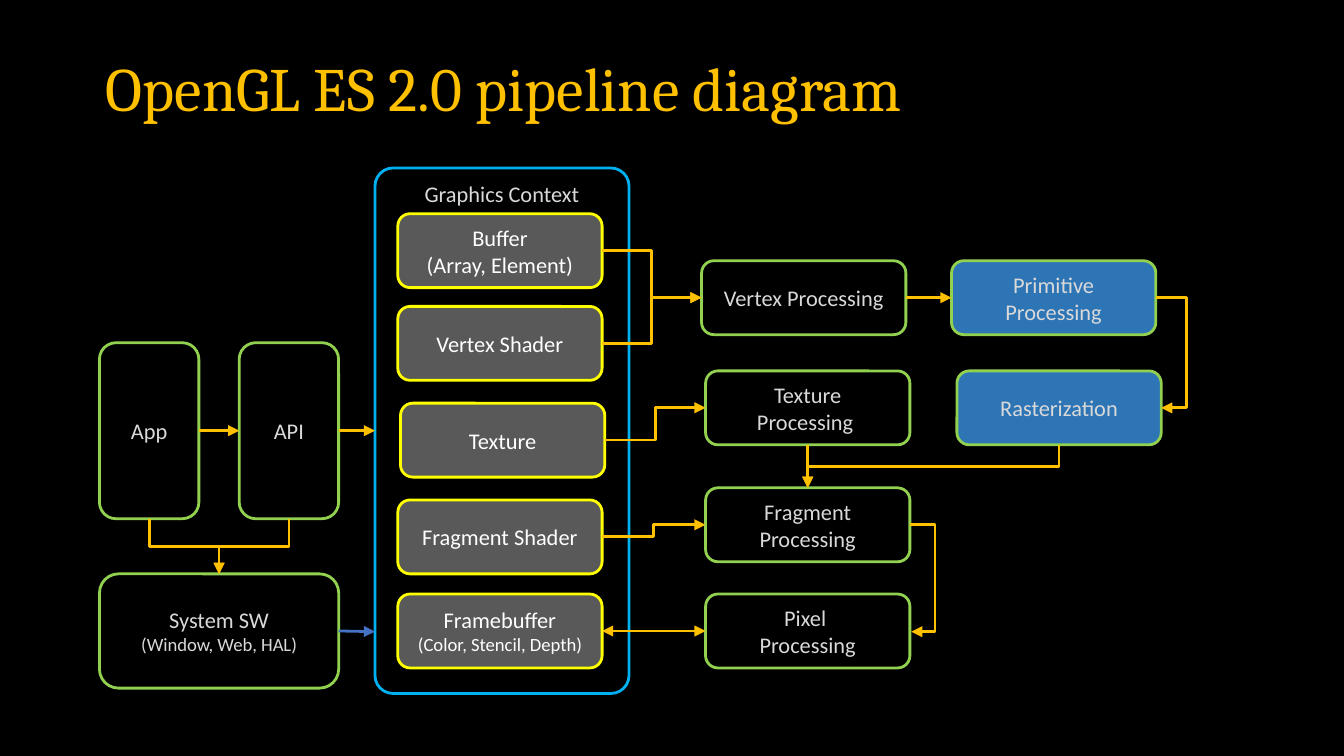
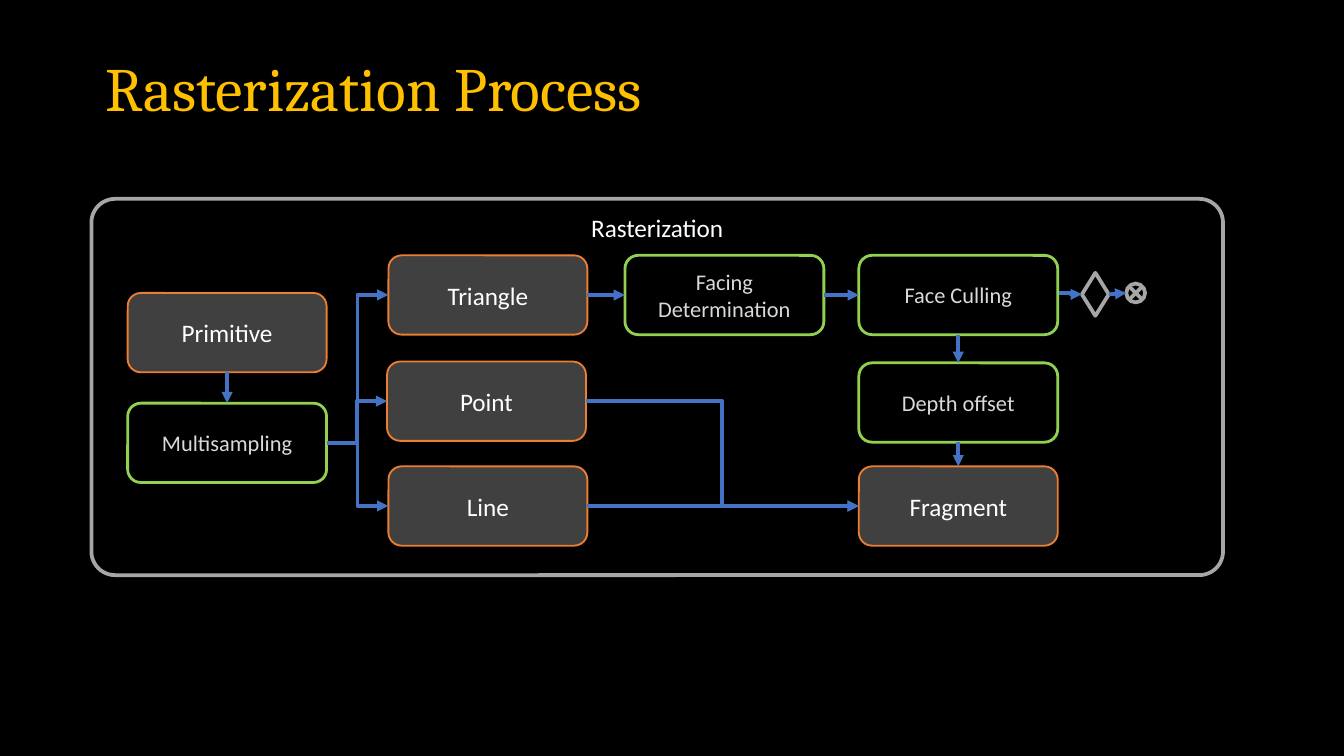
from pptx import Presentation
from pptx.dml.color import RGBColor
from pptx.enum import shapes, text
from pptx.oxml import ns, xmlchemy
from pptx.util import Inches, Pt

COLOURS = {
    "black": "000000", "gold": "FFC000", "green": "92D050", "pale": "D9D9D9",
    "white": "FFFFFF", "sky": "00B0F0", "yellow": "FFFF00", "slate": "595959",
    "charcoal": "404040", "orange": "ED7D31", "steel": "2E75B6",
    "blue": "4472C4", "silver": "A6A6A6",
}
RGB = {name: RGBColor.from_string(code) for name, code in COLOURS.items()}
SHAPE = shapes.MSO_SHAPE
ROUNDED = SHAPE.ROUNDED_RECTANGLE
TOP, LEFT, BOTTOM, RIGHT = range(4)


def add_box(page, words, at, kind=ROUNDED, fill="black", line="green", width=1.5,
            size=12, small=10, font="Calibri", colour="pale", align="CENTER",
            anchor="MIDDLE", spacing=None, radius=None):
    """Add a text box (kind=None) or a shape; lines after the first use the small size."""
    place = [Inches(value) for value in at]
    if kind is None:
        box = page.shapes.add_textbox(*place)
    else:
        box = page.shapes.add_shape(kind, *place)
        box.shadow.inherit = False
        box.line.color.rgb = RGB[line]
        box.line.width = Pt(width)
        if fill:
            box.fill.solid()
            box.fill.fore_color.rgb = RGB[fill]
        else:
            box.fill.background()
    if radius:
        box.adjustments[0] = radius
    frame = box.text_frame
    frame.word_wrap = True
    frame.vertical_anchor = getattr(text.MSO_ANCHOR, anchor)
    frame.margin_left = frame.margin_right = Inches(0.1)
    frame.margin_top = frame.margin_bottom = Inches(0.05)
    for number, words_in_line in enumerate(words.split("\n")):
        para = frame.add_paragraph() if number else frame.paragraphs[0]
        para.text = words_in_line
        para.alignment = getattr(text.PP_ALIGN, align)
        para.line_spacing = spacing
        for span in para.runs:
            span.font.name = font
            span.font.size = Pt(small if number else size)
            span.font.color.rgb = RGB[colour]
    return box


def add_arrow(page, start, end, bent=False, colour="gold", width=1.5, both=False, bend=None):
    """Join two ends, each a (box, side) pair or an (x, y) point in inches."""
    kind = shapes.MSO_CONNECTOR.ELBOW if bent else shapes.MSO_CONNECTOR.STRAIGHT
    arrow = page.shapes.add_connector(kind, 0, 0, 0, 0)
    if hasattr(start[0], "shape_id"):
        arrow.begin_connect(*start)
    else:
        arrow.begin_x, arrow.begin_y = Inches(start[0]), Inches(start[1])
    if hasattr(end[0], "shape_id"):
        arrow.end_connect(*end)
    else:
        arrow.end_x, arrow.end_y = Inches(end[0]), Inches(end[1])
    properties = arrow._element.spPr

    # An elbow that leaves downwards is a quarter-turned one
    if bent and start[1] == BOTTOM:
        x1, y1, x2, y2 = arrow.begin_x, arrow.begin_y, arrow.end_x, arrow.end_y
        across, down = abs(x2 - x1), y2 - y1
        frame = properties.find(ns.qn("a:xfrm"))
        frame.attrib.clear()
        frame.set("rot", "5400000")
        if x2 > x1:
            frame.set("flipV", "1")
        arrow.left, arrow.top = (x1 + x2 - down) // 2, (y1 + y2 - across) // 2
        arrow.width, arrow.height = down, across

    if bend:
        guide = xmlchemy.OxmlElement("a:gd")
        guide.set("name", "adj1")
        guide.set("fmla", f"val {round(bend * 100000)}")
        properties.find(".//" + ns.qn("a:avLst")).append(guide)
    arrow.line.color.rgb = RGB[colour]
    arrow.line.width = Pt(width)
    for tag in ["a:headEnd", "a:tailEnd"] if both else ["a:tailEnd"]:
        tip = xmlchemy.OxmlElement(tag)
        tip.set("type", "triangle")
        properties.find(ns.qn("a:ln")).append(tip)
    properties.append(xmlchemy.OxmlElement("a:effectLst"))


# A 16:9 deck
deck = Presentation()
deck.slide_width = Inches(10)
deck.slide_height = deck.slide_width * 9 // 16

# Shared background and title
pages = []
for title in ["OpenGL ES 2.0 pipeline diagram", "Rasterization Process"]:
    page = deck.slides.add_slide(deck.slide_layouts[6])
    page.background.fill.solid()
    page.background.fill.fore_color.rgb = RGB["black"]
    add_box(page, title, (0.69, 0.3, 8.62, 0.76), kind=None, size=33, font="Cambria",
            colour="gold", align="LEFT", spacing=0.9)
    pages.append(page)
pipeline, raster = pages

# Pipeline: application side
app, api = [add_box(pipeline, words, (x, 2.55, 0.74, 1.31))
            for words, x in [("App", 0.74), ("API", 1.78)]]
system = add_box(pipeline, "System SW\n(Window, Web, HAL)", (0.74, 4.27, 1.78, 0.85))

# Pipeline: graphics context and its objects
context = add_box(pipeline, "Graphics Context", (2.79, 1.25, 1.89, 3.91), line="sky",
                  anchor="TOP", radius=0.071)
buffer, vertex_shader, texture, fragment_shader, framebuffer = [
    add_box(pipeline, words, (x, y, 1.52, 0.55), fill="slate", line="yellow", colour="white")
    for words, x, y in [
        ("Buffer\v(Array, Element)", 2.96, 1.59),
        ("Vertex Shader", 2.96, 2.28),
        ("Texture", 2.98, 3),
        ("Fragment Shader", 2.96, 3.72),
        ("Framebuffer\n(Color, Stencil, Depth)", 2.96, 4.42),
    ]
]

# Pipeline: processing stages
vertex, primitive, texturing, rasterization, fragment, pixel = [
    add_box(pipeline, words, (x, y, 1.52, 0.55), fill=fill, small=12)
    for words, x, y, fill in [
        ("Vertex Processing", 5.22, 1.94, "black"),
        ("Primitive Processing", 7.08, 1.94, "steel"),
        ("Texture\nProcessing ", 5.25, 2.76, "black"),
        ("Rasterization", 7.12, 2.76, "steel"),
        ("Fragment Processing", 5.25, 3.63, "black"),
        ("Pixel \nProcessing", 5.25, 4.42, "black"),
    ]
]

# Pipeline: arrows
for start, end in [(app, api), (api, context), (vertex, primitive)]:
    add_arrow(pipeline, (start, RIGHT), (end, LEFT))
for start, end in [(buffer, vertex), (vertex_shader, vertex), (texture, texturing),
                   (fragment_shader, fragment)]:
    add_arrow(pipeline, (start, RIGHT), (end, LEFT), bent=True)
for start, end in [(app, system), (api, system), (rasterization, fragment)]:
    add_arrow(pipeline, (start, BOTTOM), (end, TOP), bent=True)
add_arrow(pipeline, (texturing, BOTTOM), (fragment, TOP))
add_arrow(pipeline, (primitive, RIGHT), (rasterization, RIGHT), bent=True, bend=5.75)
add_arrow(pipeline, (fragment, RIGHT), (6.78, 4.7), bent=True, bend=19)
add_arrow(pipeline, (pixel, LEFT), (framebuffer, RIGHT), both=True)
add_arrow(pipeline, (system, RIGHT), (2.79, 4.7), colour="blue")

# Rasterization: enclosing panel
add_box(raster, "Rasterization", (0.68, 1.48, 8.42, 2.8), fill=None, line="silver", width=2,
        size=13.5, colour="white", anchor="TOP", radius=0.063)

# Rasterization: data boxes, then steps
data_style = dict(fill="charcoal", line="orange", width=1, size=13.5, colour="white")
primitive, triangle, point, line, fragment = [
    add_box(raster, words, (x, y, 1.48, 0.59), **data_style)
    for words, x, y in [
        ("Primitive", 0.95, 2.18), ("Triangle", 2.89, 1.9), ("Point", 2.88, 2.69),
        ("Line", 2.89, 3.47), ("Fragment", 6.39, 3.47),
    ]
]
multisampling, facing, culling, depth = [
    add_box(raster, words, (x, y, 1.48, 0.59))
    for words, x, y in [
        ("Multisampling", 0.95, 3), ("Facing Determination", 4.65, 1.9),
        ("Face Culling", 6.39, 1.9), ("Depth offset", 6.39, 2.7),
    ]
]

# Rasterization: discard symbols
for kind, at in [(SHAPE.DIAMOND, (8.05, 2.03, 0.2, 0.32)),
                 (SHAPE.FLOWCHART_SUMMING_JUNCTION, (8.38, 2.11, 0.14, 0.14))]:
    symbol = add_box(raster, "", at, kind=kind, fill=None, line="silver", width=2)
    symbol.rotation = 180

# Rasterization: arrows
flow = dict(colour="blue", width=2)
for start, end in [(primitive, multisampling), (culling, depth), (depth, fragment)]:
    add_arrow(raster, (start, BOTTOM), (end, TOP), **flow)
for start, end in [(triangle, facing), (facing, culling), (line, fragment)]:
    add_arrow(raster, (start, RIGHT), (end, LEFT), **flow)
for start, end in [(multisampling, triangle), (multisampling, point), (multisampling, line),
                   (point, fragment)]:
    add_arrow(raster, (start, RIGHT), (end, LEFT), bent=True, **flow)
add_arrow(raster, (7.88, 2.18), (8.05, 2.19), bent=True, **flow)
add_arrow(raster, (8.25, 2.19), (8.38, 2.18), **flow)

deck.save("out.pptx")
